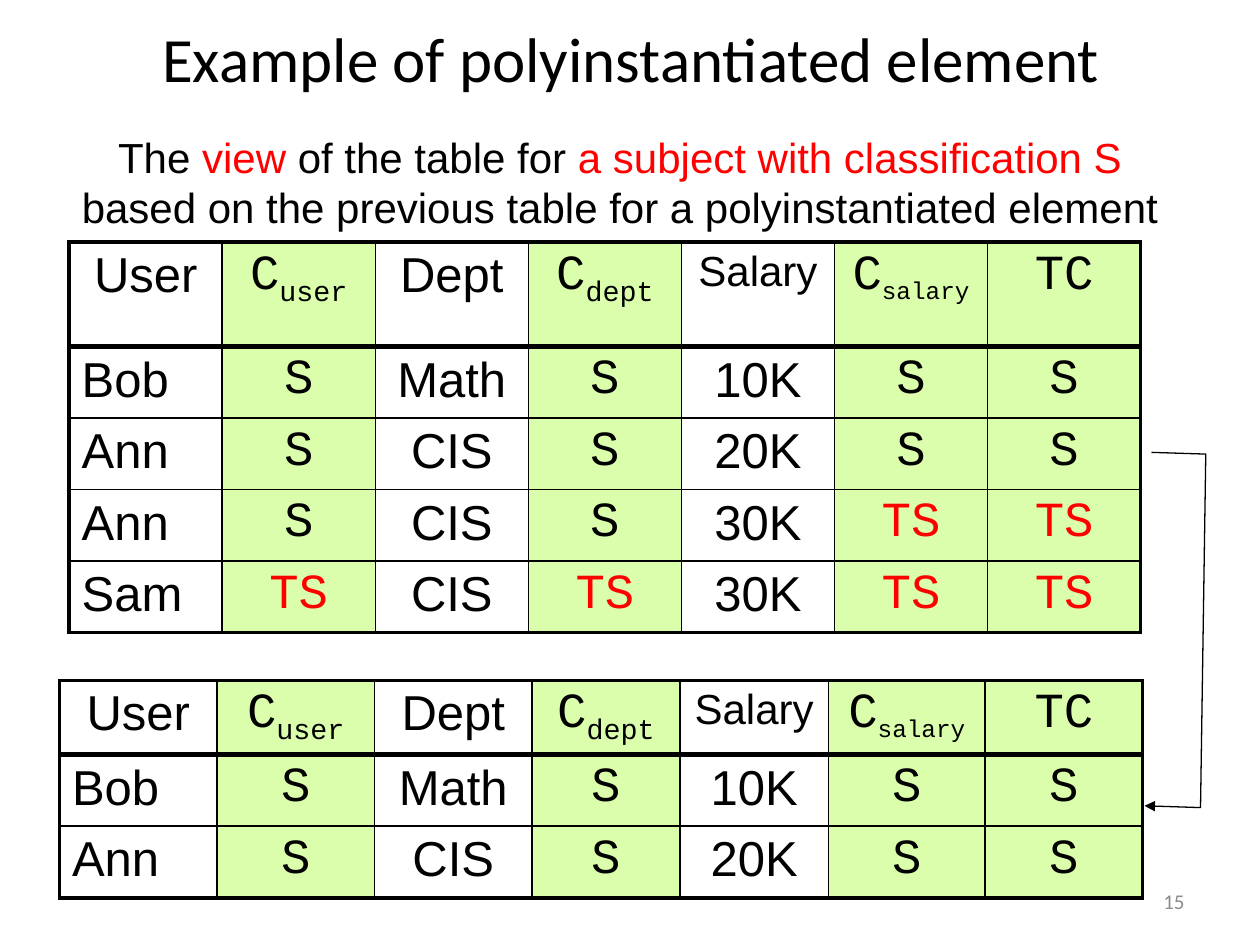
"""Build the slide on a polyinstantiated element: two security tables and an arrow."""
from lxml import etree
from pptx import Presentation
from pptx.dml.color import RGBColor
from pptx.enum import text
from pptx.oxml import ns
from pptx.util import Pt

BLACK, RED, GREEN, GREY = "000000", "FF0000", "DBFEAC", "8C8C8C"
SANS, MONO = "Arial", "Courier New"
LEFT, CENTER, RIGHT = text.PP_ALIGN.LEFT, text.PP_ALIGN.CENTER, text.PP_ALIGN.RIGHT

TITLE = "Example of polyinstantiated element"
CAPTION = [
    ("The ", {}),
    ("view", {"color": RED}),
    (" of the table for ", {}),
    ("a subject with classification S", {"color": RED}),
    (" based on the previous table for a polyinstantiated element", {}),
]
HEADER = ["User", ("C", "user"), "Dept", ("C", "dept"), "Salary", ("C", "salary"), "TC"]
CLASS_COLS = {1, 3, 5, 6}
FULL_ROWS = [
    ["Bob", "S", "Math", "S", "10K", "S", "S"],
    ["Ann", "S", "CIS", "S", "20K", "S", "S"],
    ["Ann", "S", "CIS", "S", "30K", "TS", "TS"],
    ["Sam", "TS", "CIS", "TS", "30K", "TS", "TS"],
]
FULL = {"left": 39.5, "top": 138.4, "widths": [87.5] * 7,
        "heights": [59.6] + [40.9] * 4, "rows": FULL_ROWS}
VIEW = {"left": 34, "top": 388.8, "widths": [90, 90, 90, 84.5, 85, 89.5, 90],
        "heights": [41] * 3, "rows": FULL_ROWS[:2]}
ARROW = [(658, 258.5), (689, 259.5), (686, 461.5), (654, 460.5)]


def rgb(color):
    return RGBColor.from_string(color)


def write(tf, runs, align=LEFT, anchor=text.MSO_ANCHOR.TOP, **base):
    """Fill a text frame with one paragraph of (text, format) runs."""
    tf.word_wrap = True
    tf.vertical_anchor = anchor
    p = tf.paragraphs[0]
    p.alignment = align
    for words, own in runs:
        fmt = {"size": 28, "font": SANS, "color": BLACK, "sub": False} | base | own
        r = p.add_run()
        r.text = words
        r.font.size, r.font.name = Pt(fmt["size"]), fmt["font"]
        r.font.color.rgb = rgb(fmt["color"])
        if fmt["sub"]:
            r.font._element.set("baseline", "-25000")


def add_box(s, left, top, width, height, runs, **fmt):
    sp = s.shapes.add_textbox(Pt(left), Pt(top), Pt(width), Pt(height))
    write(sp.text_frame, runs, **fmt)


def set_borders(cell, widths):
    """Draw the left, right, top and bottom borders of a cell."""
    tc_pr = cell._tc.get_or_add_tcPr()
    for i, (tag, width) in enumerate(zip(("a:lnL", "a:lnR", "a:lnT", "a:lnB"), widths)):
        ln = etree.Element(ns.qn(tag), w=str(Pt(width)))
        fill = etree.SubElement(ln, ns.qn("a:solidFill"))
        etree.SubElement(fill, ns.qn("a:srgbClr"), val=BLACK)
        tc_pr.insert(i, ln)


def cell_runs(value):
    if isinstance(value, tuple):
        size = 24 if value[1] == "salary" else 28
        return [(value[0], {}), (value[1], {"sub": True, "size": size})]
    return [(value, {"color": RED if value == "TS" else BLACK,
                     "size": 24 if value == "Salary" else 28})]


def add_grid(s, left, top, widths, heights, rows):
    rows = [HEADER] + rows
    frame = s.shapes.add_table(len(rows), len(widths), Pt(left), Pt(top),
                               Pt(sum(widths)), Pt(sum(heights)))
    table = frame.table
    table.first_row = table.horz_banding = False
    for col, width in zip(table.columns, widths):
        col.width = Pt(width)
    row_lines = [2.25, 3] + [1] * (len(rows) - 2) + [2.25]
    col_lines = [2.25] + [1] * (len(widths) - 1) + [2.25]
    for i, values in enumerate(rows):
        table.rows[i].height = Pt(heights[i])
        for j, value in enumerate(values):
            cell = table.cell(i, j)
            if j in CLASS_COLS:
                cell.fill.solid()
                cell.fill.fore_color.rgb = rgb(GREEN)
            else:
                cell.fill.background()
            set_borders(cell, col_lines[j:j + 2] + row_lines[i:i + 2])
            write(cell.text_frame, cell_runs(value),
                  align=LEFT if i and j == 0 else CENTER,
                  font=MONO if j in CLASS_COLS else SANS)


def add_arrow(s, points):
    builder = s.shapes.build_freeform(*map(Pt, points[0]))
    builder.add_line_segments([(Pt(x), Pt(y)) for x, y in points[1:]], close=False)
    sp = builder.convert_to_shape()
    sp.shadow.inherit = False
    sp.fill.background()
    sp.line.color.rgb = rgb(BLACK)
    sp.line.width = Pt(0.75)
    etree.SubElement(sp.line._get_or_add_ln(), ns.qn("a:tailEnd"), type="triangle")


def main():
    prs = Presentation()
    prs.slide_width, prs.slide_height = Pt(720), Pt(540)
    s = prs.slides.add_slide(prs.slide_layouts[5])
    title = s.shapes.title
    title.left, title.top, title.width, title.height = Pt(36.5), Pt(0), Pt(648), Pt(65.5)
    write(title.text_frame, [(TITLE, {})], align=CENTER,
          anchor=text.MSO_ANCHOR.MIDDLE, size=36, font="Calibri")
    add_grid(s, **VIEW)
    add_box(s, 31, 71.5, 646.5, 65, CAPTION, align=CENTER, size=24)
    add_grid(s, **FULL)
    add_arrow(s, ARROW)
    add_box(s, 516, 500.5, 168, 28.8, [("15", {})], align=RIGHT,
            anchor=text.MSO_ANCHOR.MIDDLE, size=12, font="Calibri", color=GREY)
    prs.save("out.pptx")


if __name__ == "__main__":
    main()
